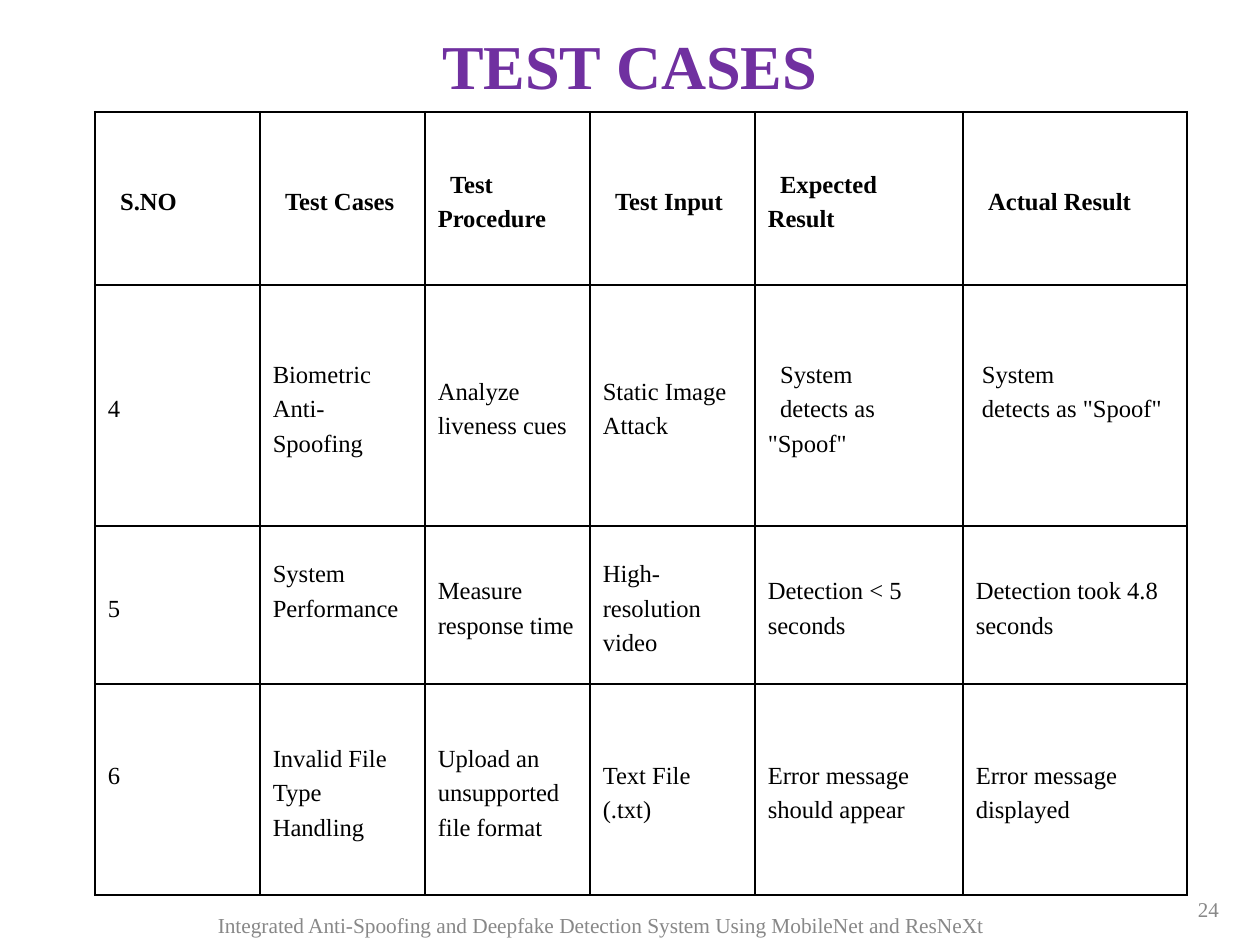
"""Build the test cases slide with its results table."""
import dataclasses

import pptx
import pptx.dml.color
import pptx.enum.text
import pptx.oxml.ns
import pptx.util
from lxml import etree

Pt = pptx.util.Pt
ALIGN = pptx.enum.text.PP_ALIGN
MIDDLE = pptx.enum.text.MSO_ANCHOR.MIDDLE


@dataclasses.dataclass(frozen=True)
class Theme:
    font: str = "Times New Roman"
    title: str = "7030A0"
    ink: str = "000000"
    muted: str = "888888"
    paper: str = "FFFFFF"
    title_size: float = 38
    body_size: float = 15
    footer_size: float = 13
    number_size: float = 12.8
    leading: float = 21
    margin: float = 7.9
    border: float = 1.5


class Deck:
    def __init__(self, slide, theme):
        self.s = slide
        self.theme = theme

    def style(self, p, size, color, leading, bold=False, align=ALIGN.LEFT):
        p.alignment = align
        p.line_spacing = Pt(leading)
        for r in p.runs:
            r.font.name = self.theme.font
            r.font.size = Pt(size)
            r.font.bold = bold
            r.font.color.rgb = pptx.dml.color.RGBColor.from_string(color)

    def text(self, text, box, size, color, leading, align=ALIGN.CENTER, bold=False):
        tf = self.s.shapes.add_textbox(*map(Pt, box)).text_frame
        tf.word_wrap = True
        tf.vertical_anchor = MIDDLE
        tf.margin_left = tf.margin_top = tf.margin_right = tf.margin_bottom = 0
        tf.text = text
        self.style(tf.paragraphs[0], size, color, leading, bold, align)

    def borders(self, cell):
        tc_pr = cell._tc.get_or_add_tcPr()
        qn = pptx.oxml.ns.qn
        for i, side in enumerate(("a:lnL", "a:lnR", "a:lnT", "a:lnB")):
            ln = etree.Element(qn(side), w=str(Pt(self.theme.border)))
            fill = etree.SubElement(ln, qn("a:solidFill"))
            etree.SubElement(fill, qn("a:srgbClr"), val=self.theme.ink)
            tc_pr.insert(i, ln)

    def cell(self, cell, text, bold, indent, lift):
        t = self.theme
        cell.fill.solid()
        cell.fill.fore_color.rgb = pptx.dml.color.RGBColor.from_string(t.paper)
        cell.vertical_anchor = MIDDLE
        cell.margin_left = cell.margin_right = cell.margin_top = Pt(t.margin)
        cell.margin_bottom = Pt(t.margin + lift)
        cell.text_frame.text = text
        for p in cell.text_frame.paragraphs:
            self.style(p, t.body_size, t.ink, t.leading, bold)
            if indent:
                p._p.get_or_add_pPr().set("indent", str(Pt(indent)))
        self.borders(cell)

    def table(self, rows, left, top, widths, heights, indents, lifted):
        box = map(Pt, (left, top, sum(widths), sum(heights)))
        table = self.s.shapes.add_table(len(rows), len(widths), *box).table
        table.first_row = table.horz_banding = False
        for column, width in zip(table.columns, widths):
            column.width = Pt(width)
        for row, height in zip(table.rows, heights):
            row.height = Pt(height)
        for i, texts in enumerate(rows):
            for j, text in enumerate(texts):
                lift = self.theme.leading if (i, j) in lifted else 0
                self.cell(table.cell(i, j), text, i == 0, indents.get((i, j), 0), lift)


TEST_CASES = [
    ["S.NO", "Test Cases", "Test Procedure", "Test Input", "Expected Result", "Actual Result"],
    ["4", "Biometric Anti- Spoofing", "Analyze liveness cues", "Static Image Attack",
     'System\ndetects as "Spoof"', 'System\ndetects as "Spoof"'],
    ["5", "System Performance", "Measure response time", "High- resolution video",
     "Detection < 5 seconds", "Detection took 4.8 seconds"],
    ["6", "Invalid File Type Handling", "Upload an unsupported file format", "Text File (.txt)",
     "Error message should appear", "Error message displayed"],
]


def main():
    prs = pptx.Presentation()
    prs.slide_width, prs.slide_height = Pt(768), Pt(576)
    t = Theme()
    deck = Deck(prs.slides.add_slide(prs.slide_layouts[6]), t)
    deck.text("TEST CASES", (52.6, 11.5, 662.4, 59.8), t.title_size, t.title, 41, bold=True)
    deck.text("24", (570.2, 543.6, 172.8, 21.6), t.number_size, t.muted, 15.3, ALIGN.RIGHT)
    deck.text("Integrated Anti-Spoofing and Deepfake Detection System Using MobileNet and ResNeXt",
              (74.9, 533.5, 581.8, 60.5), t.footer_size, t.muted, 15.6)
    indents = {(0, j): 7.5 for j in range(6)} | {(1, 4): 7.5, (1, 5): 3.75}
    deck.table(TEST_CASES, 57.8, 68.3, [100.6] * 4 + [126.8, 136.6],
               [105.5, 147, 96.3, 128.6], indents, lifted={(1, 5), (2, 1), (3, 0)})
    prs.save("out.pptx")


if __name__ == "__main__":
    main()
